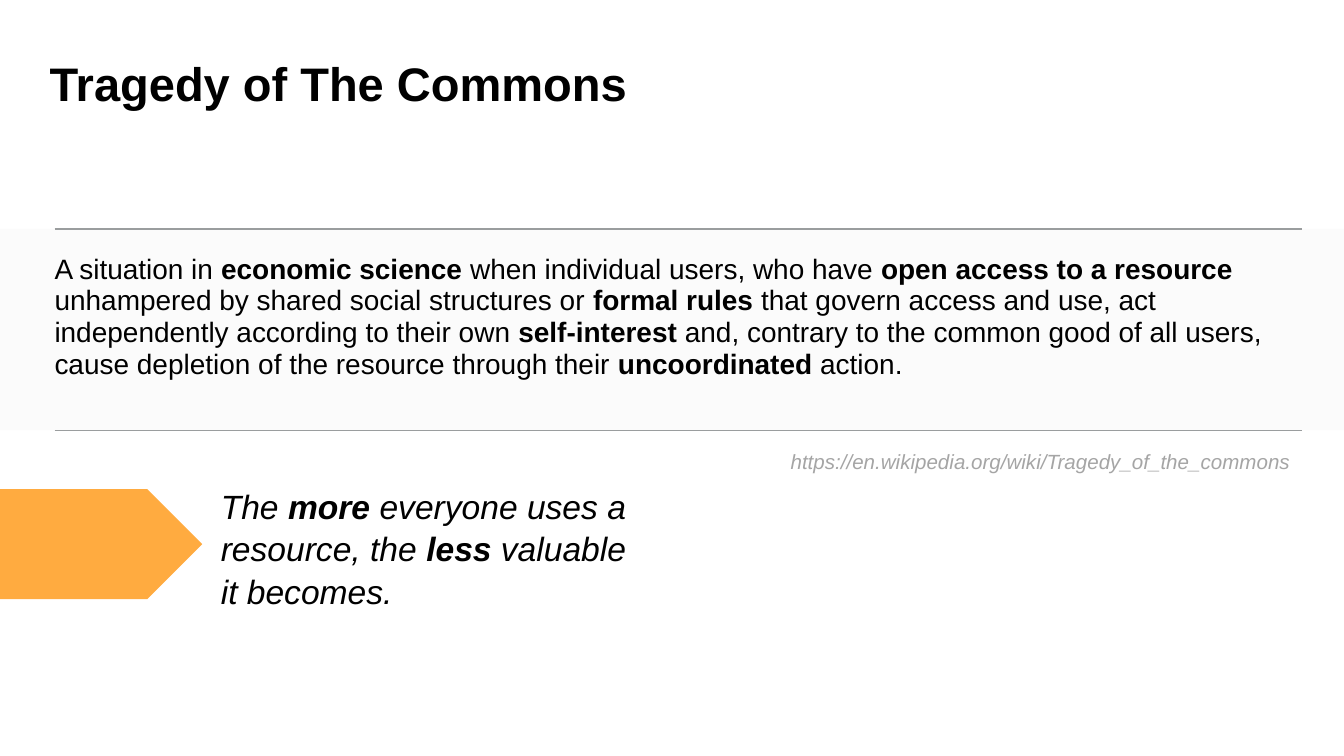
"""Build the Tragedy of The Commons slide."""
from dataclasses import dataclass

import lxml.etree
import pptx
import pptx.dml.color
import pptx.enum.shapes
import pptx.enum.text
import pptx.oxml.ns
import pptx.util

Pt = pptx.util.Pt
qn = pptx.oxml.ns.qn


@dataclass(frozen=True)
class Theme:
    font: str = "Arial"
    text: str = "000000"
    source: str = "A5A5A5"
    band: str = "EEEEEE"
    rule: str = "9A9D9E"
    accent: str = "FFAB40"
    title_size: float = 25.2
    body_size: float = 15
    quote_size: float = 18
    source_size: float = 11


THEME = Theme()
SLIDE_WIDTH, SLIDE_HEIGHT = 720, 405
BAND_TOP, BAND_BOTTOM = 122.6, 230.5
RULE_LEFT, RULE_RIGHT = 29.2, 697.3

DEFINITION = [
    ("A situation in ", False),
    ("economic science ", True),
    ("when individual users, who have ", False),
    ("open access to a resource ", True),
    ("unhampered by shared social structures or ", False),
    ("formal rules ", True),
    ("that govern access and use, act independently according to their own ", False),
    ("self-interest", True),
    (" and, contrary to the common good of all users, cause depletion of the "
     "resource through their ", False),
    ("uncoordinated", True),
    (" action.", False),
]
QUOTE = [
    ("The ", False),
    ("more", True),
    (" everyone uses a resource, the ", False),
    ("less", True),
    (" valuable it becomes.", False),
]


def rgb(value):
    return pptx.dml.color.RGBColor.from_string(value)


def place(shape, left, top, width, height):
    shape.left, shape.top = Pt(left), Pt(top)
    shape.width, shape.height = Pt(width), Pt(height)


def set_frame(shape, horizontal, vertical, anchor):
    frame = shape.text_frame
    frame.word_wrap = True
    frame.auto_size = pptx.enum.text.MSO_AUTO_SIZE.NONE
    frame.vertical_anchor = anchor
    frame.margin_left = frame.margin_right = Pt(horizontal)
    frame.margin_top = frame.margin_bottom = Pt(vertical)


def write_runs(shape, runs, size, color=THEME.text, italic=False, spacing=1.0, after=0):
    paragraph = shape.text_frame.paragraphs[0]
    paragraph.alignment = pptx.enum.text.PP_ALIGN.LEFT
    paragraph.line_spacing = spacing
    paragraph.space_before = Pt(0)
    paragraph.space_after = Pt(after)
    for text, bold in runs:
        run = paragraph.add_run()
        run.text = text
        run.font.name = THEME.font
        run.font.size = Pt(size)
        run.font.bold = bold
        run.font.italic = italic
        run.font.color.rgb = rgb(color)


def add_text(slide, box, runs, size, **style):
    shape = slide.shapes.add_textbox(*map(Pt, box))
    set_frame(shape, 5, 2.9, pptx.enum.text.MSO_ANCHOR.TOP)
    write_runs(shape, runs, size, italic=True, **style)


def add_block(slide, kind, box, color, opacity=100):
    shape = slide.shapes.add_shape(kind, *map(Pt, box))
    shape.shadow.inherit = False
    shape.fill.solid()
    shape.fill.fore_color.rgb = rgb(color)
    shape.line.fill.background()
    if opacity < 100:
        color_element = next(shape.element.spPr.iter(qn("a:srgbClr")))
        alpha = lxml.etree.SubElement(color_element, qn("a:alpha"))
        alpha.set("val", str(opacity * 1000))


def add_rule(slide, top):
    connector = slide.shapes.add_connector(
        pptx.enum.shapes.MSO_CONNECTOR.STRAIGHT,
        Pt(RULE_LEFT), Pt(top), Pt(RULE_RIGHT), Pt(top))
    connector.line.color.rgb = rgb(THEME.rule)
    connector.line.width = Pt(0.75)
    lxml.etree.SubElement(connector.element.spPr, qn("a:effectLst"))


def fill_title(slide):
    title = slide.shapes.title
    place(title, 26.6, 33.1, 567.4, 25.9)
    set_frame(title, 0, 0, pptx.enum.text.MSO_ANCHOR.MIDDLE)
    write_runs(title, [("Tragedy of The Commons", True)], THEME.title_size, spacing=0.9)


def fill_definition(slide):
    body = slide.placeholders[1]
    body.element.getparent().append(body.element)
    place(body, RULE_LEFT, 136.1, 668.1, 79.2)
    set_frame(body, 0, 0, pptx.enum.text.MSO_ANCHOR.TOP)
    properties = body.text_frame.paragraphs[0]._p.get_or_add_pPr()
    properties.set("marL", "0")
    properties.set("indent", "0")
    lxml.etree.SubElement(properties, qn("a:buNone"))
    write_runs(body, DEFINITION, THEME.body_size, spacing=0.94, after=12)


def main():
    presentation = pptx.Presentation()
    presentation.slide_width = Pt(SLIDE_WIDTH)
    presentation.slide_height = Pt(SLIDE_HEIGHT)
    slide = presentation.slides.add_slide(presentation.slide_layouts[1])
    shapes = pptx.enum.shapes.MSO_SHAPE

    fill_title(slide)
    add_text(slide, (418.6, 237.6, 285.1, 18.7),
             [("https://en.wikipedia.org/wiki/Tragedy_of_the_commons", False)],
             THEME.source_size, color=THEME.source)
    add_text(slide, (113.3, 256.3, 236.2, 70.6), QUOTE, THEME.quote_size, spacing=1.05)
    add_block(slide, shapes.RECTANGLE,
              (0, BAND_TOP, SLIDE_WIDTH, BAND_BOTTOM - BAND_TOP), THEME.band, opacity=20)
    for top in (BAND_TOP, BAND_BOTTOM):
        add_rule(slide, top)
    fill_definition(slide)
    add_block(slide, shapes.PENTAGON, (0, 262, 108.3, 59), THEME.accent)

    presentation.save("out.pptx")


if __name__ == "__main__":
    main()
